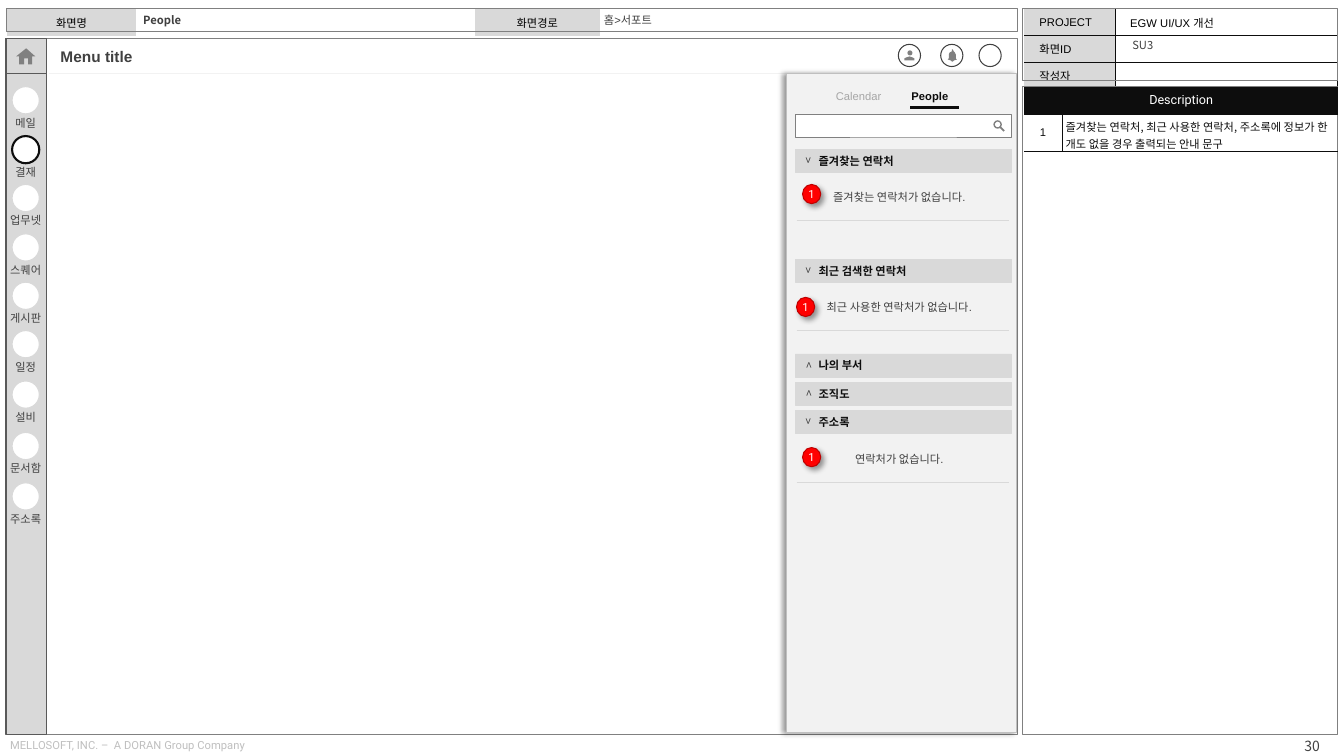
from lxml import etree
from pptx import Presentation
from pptx.dml.color import RGBColor
from pptx.enum.shapes import MSO_CONNECTOR, MSO_SHAPE
from pptx.enum.text import MSO_ANCHOR, PP_ALIGN
from pptx.oxml.ns import qn
from pptx.util import Inches, Pt

RECT, OVAL = MSO_SHAPE.RECTANGLE, MSO_SHAPE.OVAL
LEFT, CENTER, RIGHT = PP_ALIGN.LEFT, PP_ALIGN.CENTER, PP_ALIGN.RIGHT
TOP, MIDDLE = MSO_ANCHOR.TOP, MSO_ANCHOR.MIDDLE
ARIAL, ROBOTO, NOTO = "Arial", "Roboto", "Noto Sans CJK KR"
NO_GRID_STYLE = "{2D5ABB26-0587-4C30-8999-92F81FD0307C}"
COLORS = {
    "white": "FFFFFF", "black": "000000", "ink": "0D0D0D", "text": "404040",
    "edge": "595959", "gray": "808080", "muted": "A6A6A6", "faint": "BFBFBF",
    "bar": "D9D9D9", "panel": "F2F2F2", "red": "FF0000", "dark_red": "C00000",
}

MENU = [("메일", 1.15), ("결재", 1.64), ("업무넷", 2.12), ("스퀘어", 2.61), ("게시판", 3.09),
        ("일정", 3.57), ("설비", 4.07), ("문서함", 4.58), ("주소록", 5.08)]
SELECTED = "결재"
SECTIONS = [("즐겨찾는 연락처", 1.48, 90), ("최근 검색한 연락처", 2.57, 90),
            ("나의 부서", 3.51, 270), ("조직도", 3.79, 270), ("주소록", 4.07, 90)]
MESSAGES = [("즐겨찾는 연락처가 없습니다.", 1.84, 7.96, 1.83),
            ("최근 사용한 연락처가 없습니다.", 2.94, 7.9, 2.95),
            ("연락처가 없습니다.", 4.44, 7.96, 4.44)]
FRAMES = [(0.06, 0.38, 10.03, 6.91), (0.06, 0.08, 10.03, 0.23),
          (10.14, 0.08, 3.12, 0.72), (10.14, 0.86, 3.12, 6.43)]
SIDEBAR = [(0.06, 0.38, 0.4, 6.91), (0.06, 0.38, 0.4, 0.35)]
HOUSE = [(0.24, 0.64), (0.24, 0.58), (0.28, 0.58), (0.28, 0.64), (0.32, 0.64), (0.32, 0.56),
         (0.35, 0.56), (0.26, 0.48), (0.16, 0.56), (0.19, 0.56), (0.19, 0.64)]
BELL = [(9.4, 0.59), (9.41, 0.58), (9.41, 0.54), (9.42, 0.52), (9.44, 0.51), (9.44, 0.49),
        (9.45, 0.49), (9.46, 0.51), (9.47, 0.52), (9.48, 0.54), (9.48, 0.58), (9.49, 0.59),
        (9.46, 0.6), (9.45, 0.61), (9.44, 0.61), (9.43, 0.6)]
SHOULDERS = [(8.97, 0.6), (8.97, 0.58), (8.99, 0.57), (9.02, 0.56), (9.05, 0.57),
             (9.07, 0.58), (9.07, 0.6)]
WIDE, NARROW = (0.15, 0.05), (0.04, 0.05)

presentation = Presentation()
presentation.slide_width, presentation.slide_height = Inches(13.33), Inches(7.5)
slide = presentation.slides.add_slide(presentation.slide_layouts[6])


def rgb(name):
    return RGBColor.from_string(COLORS[name])


def write(frame, text, size=8, font=ARIAL, color="text", bold=False, align=LEFT,
          anchor=MIDDLE, inset=(0, 0), wrap=True):
    frame.word_wrap, frame.vertical_anchor = wrap, anchor
    frame.margin_left = frame.margin_right = Inches(inset[0])
    frame.margin_top = frame.margin_bottom = Inches(inset[1])
    paragraph = frame.paragraphs[0]
    paragraph.alignment = align
    add_run(paragraph, text, size, font, color, bold)


def add_run(paragraph, text, size, font, color, bold=False):
    run = paragraph.add_run()
    run.text = text
    run.font.size, run.font.name, run.font.bold = Pt(size), font, bold
    run.font.color.rgb = rgb(color)
    etree.SubElement(run._r.get_or_add_rPr(), qn("a:ea"), typeface=NOTO)


def add_text(box, text, **style):
    shape = slide.shapes.add_textbox(*map(Inches, box))
    write(shape.text_frame, text, **style)
    return shape


def paint(shape, fill, line=None, width=0.75):
    shape.shadow.inherit = False
    if fill:
        shape.fill.solid()
        shape.fill.fore_color.rgb = rgb(fill)
    else:
        shape.fill.background()
    if line:
        shape.line.color.rgb = rgb(line)
        shape.line.width = Pt(width)
    else:
        shape.line.fill.background()
    return shape


def add_box(kind, box, fill, line=None, width=0.75):
    return paint(slide.shapes.add_shape(kind, *map(Inches, box)), fill, line, width)


def add_outline(points):
    vertices = [(Inches(x), Inches(y)) for x, y in points]
    builder = slide.shapes.build_freeform(*vertices[0])
    builder.add_line_segments(vertices[1:], close=True)
    paint(builder.convert_to_shape(), "gray")


def add_line(x1, y1, x2, y2, color, width):
    line = slide.shapes.add_connector(MSO_CONNECTOR.STRAIGHT, *map(Inches, (x1, y1, x2, y2)))
    line.line.color.rgb = rgb(color)
    line.line.width = Pt(width)
    etree.SubElement(line._element.spPr, qn("a:effectLst"))


def cast_shadow(shape, angle):
    effects = shape._element.spPr.find(qn("a:effectLst"))
    shadow = etree.SubElement(effects, qn("a:outerShdw"), blurRad=str(Pt(4)), dist=str(Pt(3)),
                              dir=str(angle * 60000), algn="ctr", rotWithShape="0")
    tint = etree.SubElement(shadow, qn("a:srgbClr"), val=COLORS["black"])
    etree.SubElement(tint, qn("a:alpha"), val="40000")


def add_table(left, top, columns, rows):
    frame = slide.shapes.add_table(len(rows), len(columns), Inches(left), Inches(top),
                                   Inches(sum(columns)), Inches(sum(rows)))
    table = frame.table
    table.first_row = table.horz_banding = False
    table._tbl.tblPr.find(qn("a:tableStyleId")).text = NO_GRID_STYLE
    for column, width in zip(table.columns, columns):
        column.width = Inches(width)
    for row, height in zip(table.rows, rows):
        row.height = Inches(height)
    return table


def fill_cell(cell, text, fill=None, borders="", lead=1.6, **style):
    properties = cell._tc.get_or_add_tcPr()
    for side in borders:
        line = etree.SubElement(properties, qn("a:ln" + side), w=str(Pt(0.25)))
        solid = etree.SubElement(line, qn("a:solidFill"))
        etree.SubElement(solid, qn("a:srgbClr"), val=COLORS["ink"])
    if fill:
        cell.fill.solid()
        cell.fill.fore_color.rgb = rgb(fill)
    else:
        cell.fill.background()
    paragraph = cell.text_frame.paragraphs[0]
    if not text:
        paragraph._p.get_or_add_endParaRPr().set("sz", "800")
        return
    inset = style.pop("inset", WIDE)
    cell.margin_left = cell.margin_right = Inches(inset[0])
    cell.margin_top = cell.margin_bottom = Inches(inset[1])
    cell.vertical_anchor = MIDDLE
    paragraph.alignment = style.pop("align", LEFT)
    paragraph.space_before = Pt(lead)
    add_run(paragraph, text, **{"size": 8, "font": ARIAL, "color": "black", **style})


screen_table = add_table(0.07, 0.09, [1.28, 3.36, 1.24, 4.16], [0.21])
for cell, text in zip(screen_table.rows[0].cells, ["화면명", "", "화면경로", ""]):
    fill_cell(cell, text, "bar" if text else None, align=CENTER)

project_table = add_table(10.16, 0.09, [0.9, 2.2], [0.24] * 3)
project_rows = [("PROJECT", "EGW UI/UX 개선", "B"), ("화면ID", "", "TB"), ("작성자", "", "TB")]
for row, (label, value, edges) in zip(project_table.rows, project_rows):
    fill_cell(row.cells[0], label, "bar", "R" + edges)
    fill_cell(row.cells[1], value, None, "LR" + edges)

add_text((0.06, 7.28, 3.59, 0.21), "MELLOSOFT, INC. –  A DORAN Group Company", font=ROBOTO,
         color="faint", anchor=TOP, inset=NARROW)
for box, fill in zip(FRAMES, ["white", None, None, None]):
    add_box(RECT, box, fill, "gray", 0.5)
add_text((12.42, 7.29, 0.71, 0.21), "30", size=10, font=NOTO, align=RIGHT, inset=NARROW)

for box in SIDEBAR:
    add_box(RECT, box, "bar", "edge")
add_outline(HOUSE)
for label, top in MENU:
    ring = ("ink", 1.5) if label == SELECTED else ("bar", 0.75)
    add_box(OVAL, (0.12, top - 0.29, 0.27, 0.27), "white", *ring)
    add_text((0.06, top, 0.39, 0.13), label, align=CENTER, anchor=TOP)

add_text((0.52, 0.42, 1.02, 0.28), "Menu title", size=11, bold=True, inset=(0.08, 0.05))
for left in (8.91, 9.33, 9.71):
    add_box(OVAL, (left, 0.44, 0.22, 0.22), "white", "text")
add_box(OVAL, (9, 0.5, 0.05, 0.05), "gray")
add_outline(SHOULDERS)
add_outline(BELL)
add_line(0.49, 0.73, 10.02, 0.73, "panel", 0.25)

cast_shadow(add_box(RECT, (7.8, 0.73, 2.28, 6.54), "panel", "faint"), 180)

description_table = add_table(10.16, 0.86, [0.37, 2.74], [0.27, 0.24])
description_table.cell(0, 0).merge(description_table.cell(0, 1))
fill_cell(description_table.cell(0, 0), "Description", "ink", size=9, font=ROBOTO,
          color="white", align=CENTER)
fill_cell(description_table.cell(1, 0), "1", None, "RTB", color="ink", align=CENTER, inset=NARROW)
fill_cell(description_table.cell(1, 1),
          "즐겨찾는 연락처, 최근 사용한 연락처, 주소록에 정보가 한 개도 없을 경우 출력되는 안내 문구",
          None, "LTB", lead=0, font=NOTO, color="ink", inset=NARROW)

add_text((11.19, 0.33, 1.9, 0.24), "SU3", font=NOTO, inset=NARROW)
add_text((1.34, 0.09, 1, 0.22), "People", font=NOTO, bold=True, inset=(0.08, 0.05))
add_text((5.95, 0.08, 2.76, 0.24), "홈>서포트", inset=NARROW)

add_box(RECT, (7.89, 1.13, 2.14, 0.23), "white", "gray", 0.25)
add_box(OVAL, (9.86, 1.2, 0.07, 0.07), None, "gray", 1)
add_line(9.92, 1.26, 9.96, 1.3, "gray", 1.25)

for title, top, turn in SECTIONS:
    bar = add_box(RECT, (7.89, top, 2.14, 0.23), "bar", "bar", 0.25)
    write(bar.text_frame, title, color="ink", bold=True, inset=(0.04, 0.04))
    bar.text_frame.margin_left = Inches(0.23)
    chevron = add_text((7.91, top - 0.05, 0.22, 0.33), ">", font=NOTO, align=CENTER)
    chevron.rotation = turn

for message, top, badge_left, badge_top in MESSAGES:
    add_line(7.9, top + 0.34, 10.01, top + 0.34, "bar", 0.25)
    add_text((8.05, top, 1.74, 0.22), message, align=CENTER)
    badge = add_box(OVAL, (badge_left, badge_top, 0.18, 0.19), "red", "dark_red")
    cast_shadow(badge, 45)
    write(badge.text_frame, "1", font=ROBOTO, color="white", align=CENTER, wrap=False)

add_text((8.25, 0.77, 0.65, 0.37), "Calendar", color="muted", inset=NARROW)
add_text((9, 0.77, 0.6, 0.37), "People", color="ink", bold=True, inset=NARROW)
add_line(9.03, 1.07, 9.51, 1.07, "ink", 2.25)

presentation.save("out.pptx")
